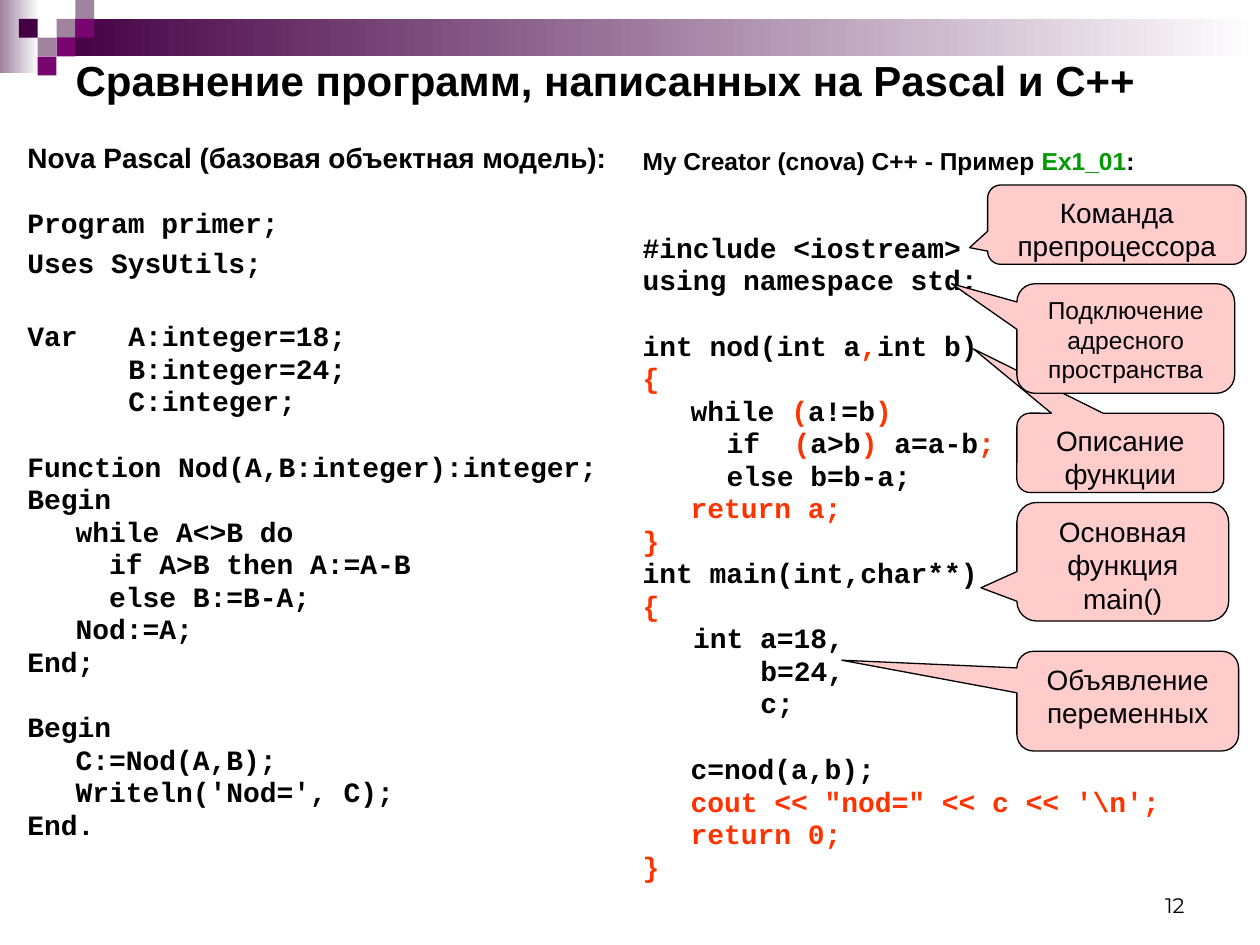
from dataclasses import dataclass

from pptx import Presentation
from pptx.dml.color import RGBColor
from pptx.enum.shapes import MSO_SHAPE as Preset
from pptx.enum.text import MSO_ANCHOR as Anchor, MSO_AUTO_SIZE as AutoSize, PP_ALIGN as Align
from pptx.oxml.xmlchemy import OxmlElement as make_element
from pptx.util import Cm, Pt


@dataclass(frozen=True)
class Theme:
    text: str = "000000"
    red: str = "FF3300"
    green: str = "009900"
    pink: str = "FFCCCC"
    plum: str = "440044"
    violet: str = "790571"
    mauve: str = "9F839F"
    white: str = "FFFFFF"
    sans: str = "Arial"
    mono: str = "Courier New"
    number: str = "Montserrat"
    title_size: int = 24
    code_size: int = 16
    small_size: int = 14
    number_size: int = 12


THEME = Theme()
GAP = 3.2      # points before an ordinary line
BREAK = 22.2   # points before a new block of code
STEP = 0.97    # first code indent, cm
CHAR = 0.339   # width of one code character, cm


@dataclass
class Line:
    """One line of a listing; text between bars is in the accent colour."""
    text: str
    left: float = 0
    before: float = GAP
    hanging: bool = False
    spacing: float = 0.8
    font: str = THEME.mono
    size: int = THEME.code_size
    accent: str = THEME.red


PASCAL = [
    Line("Nova Pascal (базовая объектная модель):", font=THEME.sans),
    Line("Program primer;", before=21.6),
    Line("Uses SysUtils;", spacing=1.05),
    Line("Var\tA:integer=18;", 6 * CHAR, 26, hanging=True),
    Line("B:integer=24;", 6 * CHAR),
    Line("C:integer;", 6 * CHAR),
    Line("Function Nod(A,B:integer):integer;", before=BREAK),
    Line("Begin"),
    Line("while A<>B do", STEP),
    Line("if A>B then A:=A-B", STEP + 2 * CHAR),
    Line("else B:=B-A;", STEP + 2 * CHAR),
    Line("Nod:=A;", STEP),
    Line("End;"),
    Line("Begin", before=BREAK),
    Line("C:=Nod(A,B);", STEP),
    Line("Writeln('Nod=', C);", STEP),
    Line("End."),
]

CPP = [
    Line("My Creator (cnova) C++ - Пример |Ex1_01|:", font=THEME.sans,
         size=THEME.small_size, accent=THEME.green),
    Line("#include <iostream>", before=35.5),
    Line("using namespace std;"),
    Line("int nod(int a|,|int b)", before=BREAK),
    Line("|{"),
    Line("while |(|a!=b|)", STEP),
    Line("if  |(|a>b|) |a=a-b|;", 5 * CHAR),
    Line("else b=b-a;", 5 * CHAR),
    Line("|return a;", STEP),
    Line("|}"),
    Line("int main(int,char**)"),
    Line("|{"),
    Line("int a=18,", 3 * CHAR),
    Line("b=24,", 7 * CHAR),
    Line("c;", 7 * CHAR),
    Line("c=nod(a,b);", STEP, BREAK),
    Line("|cout << \"nod=\" << c << '\\n';", STEP),
    Line("|return 0;", STEP),
    Line("|}"),
]

# Text, place in cm, pointer tip, type size
CALLOUTS = [
    ("Команда\nпрепроцессора", (19.91, 3.73, 5.21, 1.6), (-0.57, 0.29), THEME.code_size),
    ("Объявление\nпеременных", (20.5, 13.13, 4.47, 2.01), (-1.29, -0.41), THEME.code_size),
    ("Основная\nфункция main()", (20.5, 10.13, 4.27, 2.39), (-0.67, 0.22), THEME.code_size),
    ("Описание\nфункции", (20.5, 8.33, 4.17, 1.6), (-0.71, -1.31), THEME.code_size),
    ("Подключение адресного пространства", (20.5, 5.72, 4.39, 2.21), (-0.8, -0.5),
     THEME.small_size),
]

# Column, row, colour
SQUARES = [
    (3, 1, THEME.mauve), (4, 0, THEME.mauve), (4, 1, THEME.violet),
    (2, 2, THEME.mauve), (1, 1, THEME.plum), (3, 2, THEME.violet),
    (2, 3, THEME.violet),
]


def rgb(code):
    return RGBColor.from_string(code)


def set_font(font, name, size, bold=False, color=THEME.text):
    font.name, font.size, font.bold = name, Pt(size), bold
    font.color.rgb = rgb(color)


def move(shape, place):
    shape.left, shape.top, shape.width, shape.height = (Cm(value) for value in place)


def add_block(page, place, color, fade=False):
    box = page.shapes.add_shape(Preset.RECTANGLE, *(Cm(value) for value in place))
    box.shadow.inherit = False
    box.line.fill.background()
    if not fade:
        box.fill.solid()
        box.fill.fore_color.rgb = rgb(color)
        return
    box.fill.gradient()
    box.fill.gradient_angle = 0
    for stop, position, shade in zip(box.fill.gradient_stops, (0, 1), (color, THEME.white)):
        stop.position = position
        stop.color.rgb = rgb(shade)


def add_decoration(page):
    add_block(page, (0, 0, 0.79, 1.47), THEME.mauve, fade=True)
    add_block(page, (1.14, 0.38, 24.26, 0.76), THEME.plum, fade=True)
    side = 0.38
    for column, row, color in SQUARES:
        add_block(page, (column * side, row * side, side, side), color)


def fill_title(title, text):
    move(title, (1.27, 0.91, 22.86, 1.4))
    frame = title.text_frame
    frame.auto_size = AutoSize.NONE
    frame.vertical_anchor = Anchor.MIDDLE
    frame.text = text
    para = frame.paragraphs[0]
    para.alignment = Align.LEFT
    set_font(para.font, THEME.sans, THEME.title_size, bold=True)


def format_line(para, line):
    para.line_spacing = line.spacing
    para.space_before = Pt(line.before)
    properties = para._p.get_or_add_pPr()
    properties.set("marL", str(Cm(line.left)))
    properties.set("indent", str(-Cm(line.left) if line.hanging else 0))
    properties.append(make_element("a:buNone"))
    set_font(para.font, line.font, line.size, bold=True)
    for index, part in enumerate(line.text.split("|")):
        if part:
            span = para.add_run()
            span.text = part
            if index % 2:
                span.font.color.rgb = rgb(line.accent)


def fill_listing(body, place, lines):
    move(body, place)
    frame = body.text_frame
    frame.auto_size = AutoSize.NONE
    frame.vertical_anchor = Anchor.TOP
    for index, line in enumerate(lines):
        format_line(frame.add_paragraph() if index else frame.paragraphs[0], line)


def add_callout(page, text, place, tip, size):
    box = page.shapes.add_shape(Preset.ROUNDED_RECTANGULAR_CALLOUT,
                                *(Cm(value) for value in place))
    box.shadow.inherit = False
    box.adjustments[0], box.adjustments[1] = tip
    box.fill.solid()
    box.fill.fore_color.rgb = rgb(THEME.pink)
    box.line.color.rgb = rgb(THEME.text)
    box.line.width = Pt(0.75)
    frame = box.text_frame
    frame.word_wrap = True
    frame.vertical_anchor = Anchor.TOP
    frame.text = text
    for para in frame.paragraphs:
        para.alignment = Align.CENTER
        set_font(para.font, THEME.sans, size)


def add_page_number(page, text):
    box = page.shapes.add_textbox(Cm(18.21), Cm(17.35), Cm(5.92), Cm(1.27))
    frame = box.text_frame
    frame.word_wrap = True
    frame.vertical_anchor = Anchor.BOTTOM
    frame.text = text
    para = frame.paragraphs[0]
    para.alignment = Align.RIGHT
    set_font(para.font, THEME.number, THEME.number_size)


def main():
    deck = Presentation()
    deck.slide_width, deck.slide_height = Cm(25.4), Cm(19.05)
    page = deck.slides.add_slide(deck.slide_layouts.get_by_name("Two Content"))
    title, left_body, right_body = page.placeholders

    # Header and listings
    add_decoration(page)
    fill_title(title, "Сравнение программ, написанных на Pascal и С++")
    fill_listing(left_body, (0.3, 2.84, 12.6, 16.2), PASCAL)
    fill_listing(right_body, (12.7, 2.92, 11.23, 16.74), CPP)

    # Notes on the code
    for callout in CALLOUTS:
        add_callout(page, *callout)
    add_page_number(page, "12")
    deck.save("out.pptx")


main()
